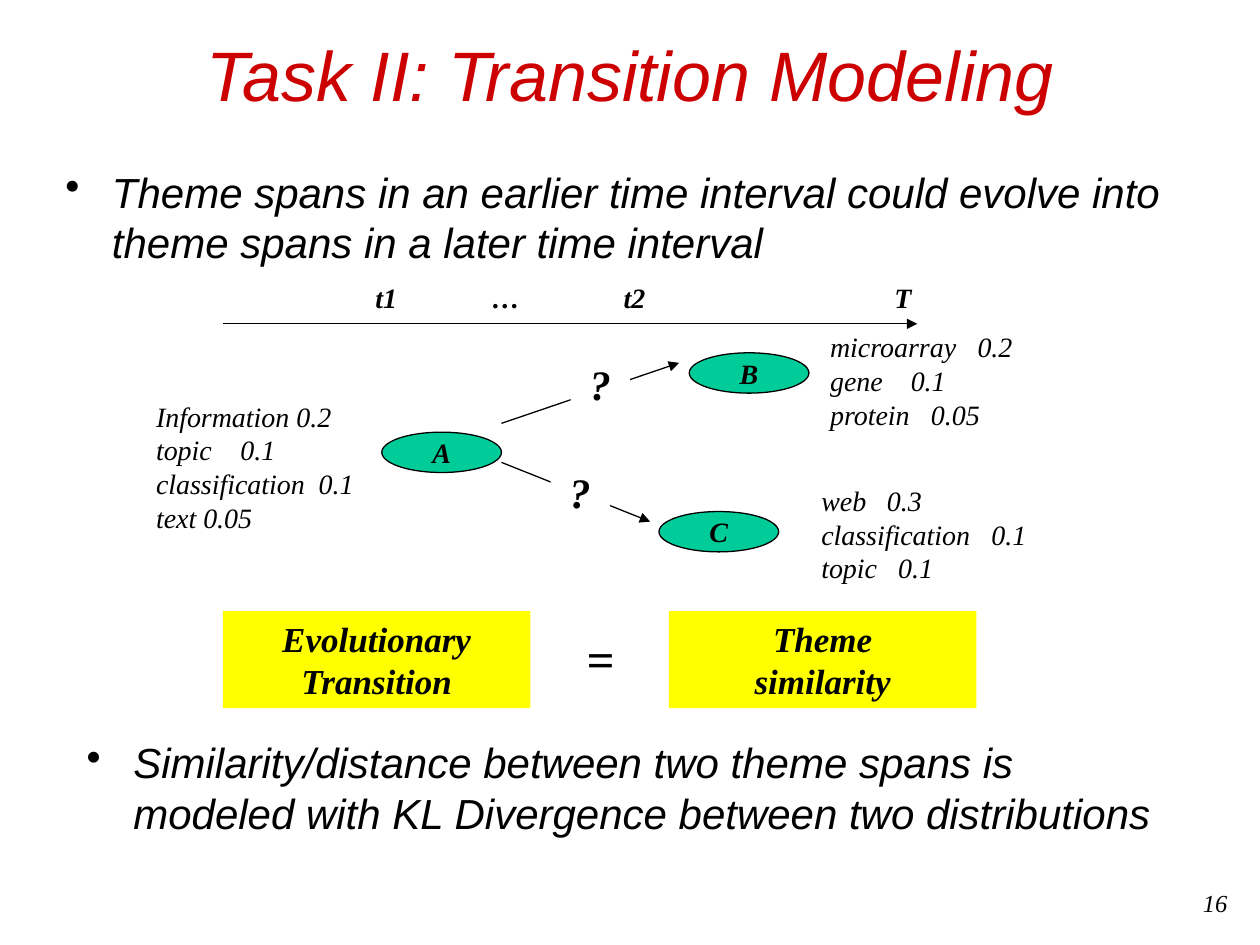
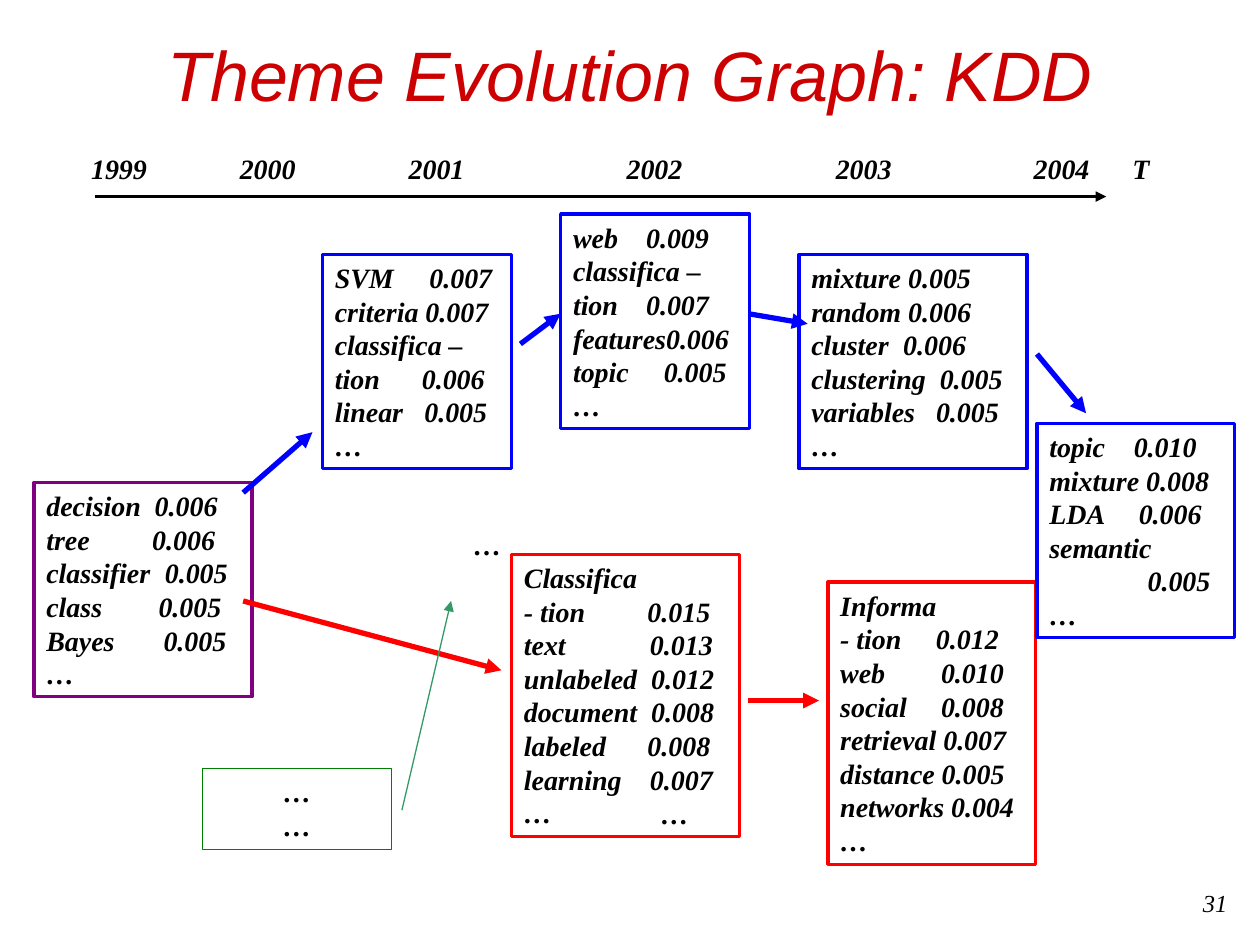
from lxml.etree import SubElement
from pptx import Presentation
from pptx.dml.color import RGBColor
from pptx.enum.shapes import MSO_CONNECTOR, MSO_SHAPE
from pptx.enum.text import MSO_ANCHOR, PP_ALIGN
from pptx.oxml.ns import qn
from pptx.util import Inches, Pt

BLACK, WHITE, TITLE_RED = "000000", "FFFFFF", "CC0000"
TEAL, YELLOW = "00CC99", "FFFF00"
BLUE, RED, PURPLE, GREEN, SEA_GREEN = "0000FF", "FF0000", "800080", "008000", "339966"
SANS, SERIF = "Arial", "Times New Roman"
LEFT, CENTER, RIGHT = PP_ALIGN.LEFT, PP_ALIGN.CENTER, PP_ALIGN.RIGHT


def color(value):
    return RGBColor.from_string(value)


def write(shape, rows, size=16, font=SERIF, bold=True, tint=BLACK, align=LEFT,
          anchor=MSO_ANCHOR.TOP, wrap=True, bullet=False):
    frame = shape.text_frame
    frame.word_wrap = wrap
    frame.vertical_anchor = anchor
    for index, row in enumerate(rows):
        paragraph = frame.add_paragraph() if index else frame.paragraphs[0]
        paragraph.alignment = align
        properties = paragraph._p.get_or_add_pPr()
        if bullet:
            properties.set("marL", str(Inches(0.37)))
            properties.set("indent", str(-Inches(0.37)))
            SubElement(properties, qn("a:buChar"), char="•")
        if isinstance(row, tuple):
            word, weight, stop = row
            tabs = SubElement(properties, qn("a:tabLst"))
            SubElement(tabs, qn("a:tab"), pos=str(Inches(stop)), algn="l")
            row = f"{word}\t{weight}"
        run = paragraph.add_run()
        run.text = row
        run.font.size = Pt(size)
        run.font.name = font
        run.font.bold = bold
        run.font.italic = True
        run.font.color.rgb = color(tint)
    return shape


def add_text(slide, box, rows, **style):
    return write(slide.shapes.add_textbox(*map(Inches, box)), rows, **style)


def add_block(slide, box, rows, kind=MSO_SHAPE.RECTANGLE, fill=None, line=None,
              width=0.75, **style):
    block = slide.shapes.add_shape(kind, *map(Inches, box))
    block.shadow.inherit = False
    if fill:
        block.fill.solid()
        block.fill.fore_color.rgb = color(fill)
    else:
        block.fill.background()
    if line:
        block.line.color.rgb = color(line)
        block.line.width = Pt(width)
    else:
        block.line.fill.background()
    return write(block, rows, **style)


def add_arrow(slide, start, end, tint=BLACK, width=0.75):
    arrow = slide.shapes.add_connector(
        MSO_CONNECTOR.STRAIGHT, *map(Inches, (*start, *end)))
    arrow.line.color.rgb = color(tint)
    arrow.line.width = Pt(width)
    SubElement(arrow.line._get_or_add_ln(), qn("a:tailEnd"), type="triangle")
    SubElement(arrow._element.spPr, qn("a:effectLst"))


def add_page(deck, title, number):
    slide = deck.slides.add_slide(deck.slide_layouts[6])
    add_text(slide, (7.76, 7, 2.08, 0.5), [number], size=14, bold=False, align=RIGHT)
    add_text(slide, (0, 0.2, 10, 0.77), [title], size=40, font=SANS, bold=False,
             tint=TITLE_RED, align=CENTER, anchor=MSO_ANCHOR.MIDDLE)
    return slide


def add_point(slide, box, sentence):
    add_text(slide, box, [sentence], size=24, font=SANS, bold=False, bullet=True)


def add_timeline(slide, left, top, length, drop, width, label_width, labels):
    add_arrow(slide, (left, top + drop), (left + length, top + drop), width=width)
    for label, offset in labels:
        add_text(slide, (left + offset, top, label_width, 0.37), [label], align=CENTER)


def add_symbol(slide, left, top, symbol, size):
    add_block(slide, (left, top, 0.47, 0.63), [symbol], fill=WHITE, size=size,
              align=CENTER, anchor=MSO_ANCHOR.MIDDLE, wrap=False)


def add_transition_graph(slide, left, top):
    themes = [("A", 1.89, 0.86), ("B", 4.33, 0.23), ("C", 4.09, 1.49)]
    for name, x, y in themes:
        add_block(slide, (left + x, top + y, 0.95, 0.32), [name], MSO_SHAPE.OVAL,
                  fill=TEAL, line=BLACK, align=CENTER, anchor=MSO_ANCHOR.MIDDLE,
                  wrap=False)
    transitions = [((2.84, 1.1), (4.02, 1.57), (3.23, 1.02)),
                   ((2.84, 0.79), (4.25, 0.31), (3.39, 0.16))]
    for (x1, y1), (x2, y2), (x, y) in transitions:
        add_arrow(slide, (left + x1, top + y1), (left + x2, top + y2))
        add_symbol(slide, left + x, top + y, "?", 24)
    word_lists = [
        (0, 0.55, 1.81, 1.17, ["Information 0.2", ("topic", "0.1", 0.67),
                               ("classification", "0.1", 1.29), "text 0.05"]),
        (5.35, 0, 1.97, 0.9, [("microarray", "0.2", 1.17), ("gene", "0.1", 0.64),
                              ("protein", "0.05", 0.8)]),
        (5.28, 1.22, 1.89, 0.9, [("web", "0.3", 0.52),
                                 ("classification", "0.1", 1.35),
                                 ("topic", "0.1", 0.61)]),
    ]
    for x, y, width, height, words in word_lists:
        add_text(slide, (left + x, top + y, width, height), words, bold=False)


def add_equation(slide, left, top):
    sides = [(0, ["Evolutionary", "Transition"]), (3.54, ["Theme", "similarity"])]
    for x, term in sides:
        add_block(slide, (left + x, top, 2.44, 0.77), term, fill=YELLOW, size=20,
                  align=CENTER)
    add_symbol(slide, left + 2.76, top + 0.06, "=", 28)


def add_evolution_graph(slide, left, top):
    spans = [
        (0, 2.13, 1.73, 1.7, PURPLE, [
            ("decision", "0.006", 0.86), ("tree", "0.006", 0.84),
            ("classifier", "0.005", 0.94), ("class", "0.005", 0.89),
            ("Bayes", "0.005", 0.93), "…"]),
        (2.29, 0.32, 1.5, 1.7, BLUE, [
            ("SVM", "0.007", 0.75), "criteria 0.007", "classifica –",
            ("tion", "0.006", 0.69), ("linear", "0.005", 0.71), "…"]),
        (4.18, 0, 1.5, 1.7, BLUE, [
            ("web", "0.009", 0.58), "classifica –", ("tion", "0.007", 0.58),
            "features0.006", ("topic", "0.005", 0.72), "…"]),
        (6.07, 0.32, 1.81, 1.7, BLUE, [
            "mixture 0.005", "random 0.006", ("cluster", "0.006", 0.73),
            ("clustering", "0.005", 1.02), ("variables", "0.005", 0.99), "…"]),
        (3.79, 2.7, 1.81, 2.24, RED, [
            "Classifica", ("- tion", "0.015", 0.98), ("text", "0.013", 1),
            ("unlabeled", "0.012", 1.01), ("document", "0.008", 1.01),
            ("labeled", "0.008", 0.98), ("learning", "0.007", 1), "…"]),
        (6.3, 2.92, 1.65, 2.24, RED, [
            "Informa", ("- tion", "0.012", 0.76), ("web", "0.010", 0.8),
            ("social", "0.008", 0.8), "retrieval 0.007", "distance 0.005",
            "networks 0.004", "…"]),
        (7.96, 1.66, 1.57, 1.7, BLUE, [
            ("topic", "0.010", 0.67), "mixture 0.008", ("LDA", "0.006", 0.71),
            "semantic", ("", "0.005", 0.78), "…"]),
    ]
    for x, y, width, height, tint, words in spans:
        add_block(slide, (left + x, top + y, width, height), words, line=tint, width=2)
    add_block(slide, (left + 1.34, top + 4.4, 1.5, 0.64), ["…", "…"], line=GREEN,
              align=CENTER)
    for x, y, width in [(4.18, 4.57, 1.81), (3.39, 2.44, 0.42)]:
        add_text(slide, (left + x, top + y, width, 0.37), ["…"], align=CENTER)
    evolutions = [
        ((1.66, 2.21), (2.21, 1.73), BLUE, 3),
        ((3.86, 1.03), (4.18, 0.79), BLUE, 3),
        ((5.67, 0.79), (6.14, 0.87), BLUE, 3),
        ((7.96, 1.11), (8.35, 1.58), BLUE, 3),
        ((1.66, 3.07), (3.71, 3.62), RED, 3),
        ((5.67, 3.86), (6.23, 3.86), RED, 3),
        ((2.92, 4.73), (3.31, 3.07), SEA_GREEN, 0.75),
    ]
    for (x1, y1), (x2, y2), tint, width in evolutions:
        add_arrow(slide, (left + x1, top + y1), (left + x2, top + y2), tint, width)


def build_transition_slide(deck):
    slide = add_page(deck, "Task II: Transition Modeling", "16")
    add_point(slide, (0.42, 1.27, 9.25, 0.9),
              "Theme spans in an earlier time interval could evolve into "
              "theme spans in a later time interval")
    add_timeline(slide, 1.77, 2.18, 5.51, 0.39, 0.75, 0.55,
                 [("t1", 1.02), ("…", 1.97), ("t2", 2.99), ("T", 5.12)])
    add_transition_graph(slide, 1.14, 2.57)
    add_equation(slide, 1.77, 4.85)
    add_point(slide, (0.59, 5.8, 8.9, 1.14),
              "Similarity/distance between two theme spans is modeled with "
              "KL Divergence between two distributions")


def build_evolution_slide(deck):
    slide = add_page(deck, "Theme Evolution Graph: KDD", "31")
    add_timeline(slide, 0.75, 1.15, 8.03, 0.41, 2, 0.87,
                 [("1999", -0.24), ("2000", 0.94), ("2001", 2.28), ("2002", 4.01),
                  ("2003", 5.67), ("2004", 7.24), ("T", 7.87)])
    add_evolution_graph(slide, 0.27, 1.7)


def main():
    deck = Presentation()
    deck.slide_width, deck.slide_height = Inches(10), Inches(7.5)
    build_transition_slide(deck)
    build_evolution_slide(deck)
    deck.save("out.pptx")


if __name__ == "__main__":
    main()
